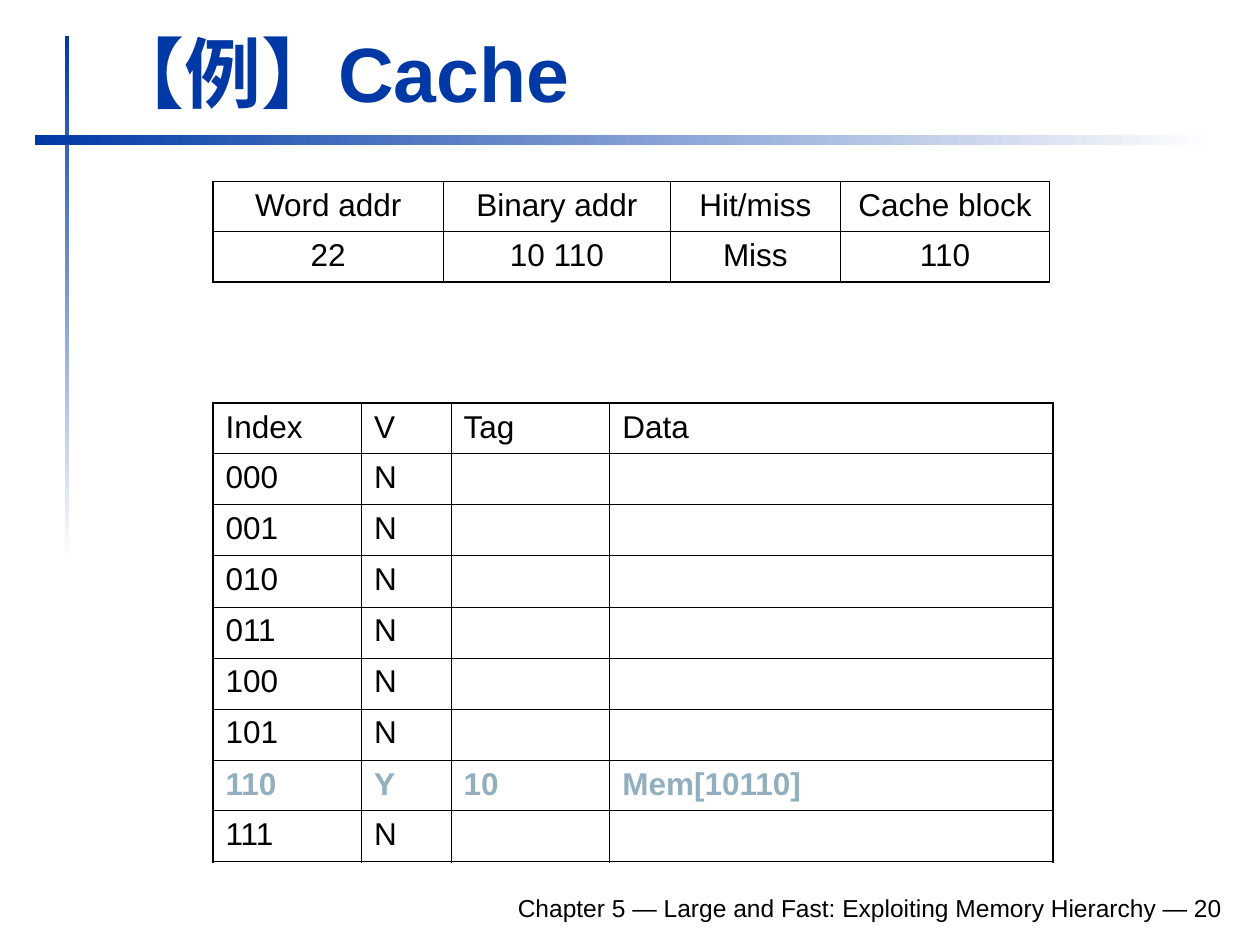
from dataclasses import dataclass
from lxml import etree
from pptx import Presentation
from pptx import util as u
from pptx.dml.color import RGBColor
from pptx.enum import shapes, text
from pptx.oxml import ns


@dataclass(frozen=True)
class Theme:
    font: str = "Arial"
    ink: str = "000000"
    blue: str = "0039A6"
    pale: str = "FFFFFF"
    mark: str = "91AFBF"
    head: int = 44
    body: int = 18
    foot: int = 14
    edge: float = 1.08
    rule: float = 0.75
    hair: float = 0.45


THEME = Theme()
COLS, ROWS = 100, 75
UNIT = u.Inches(0.1)
ALIGN = text.PP_ALIGN


def scale(*sizes):
    return [round(size * UNIT) for size in sizes]


def style(frame, size, color=THEME.ink, bold=False, align=ALIGN.LEFT):
    for para in frame.paragraphs:
        para.alignment = align
        for run in para.runs:
            run.font.name = THEME.font
            run.font.size = u.Pt(size)
            run.font.bold = bold
            run.font.color.rgb = RGBColor.from_string(color)


def add_bar(slide, box, angle):
    bar = slide.shapes.add_shape(shapes.MSO_SHAPE.RECTANGLE, *scale(*box))
    bar.shadow.inherit = False
    bar.line.fill.background()
    bar.fill.gradient()
    bar.fill.gradient_angle = angle
    for stop, color in zip(bar.fill.gradient_stops, (THEME.blue, THEME.pale)):
        stop.color.rgb = RGBColor.from_string(color)


def add_title(slide, box, words):
    title = slide.shapes.title
    title.left, title.top, title.width, title.height = scale(*box)
    frame = title.text_frame
    frame.text = words
    frame.vertical_anchor = text.MSO_ANCHOR.BOTTOM
    frame.auto_size = text.MSO_AUTO_SIZE.NONE
    style(frame, THEME.head, THEME.blue, True)


def add_footer(slide, box, words):
    frame = slide.shapes.add_textbox(*scale(*box)).text_frame
    frame.word_wrap = True
    frame.vertical_anchor = text.MSO_ANCHOR.BOTTOM
    frame.text = words
    style(frame, THEME.foot, align=ALIGN.RIGHT)


def add_edge(cell, side, width):
    line = etree.SubElement(cell._tc.get_or_add_tcPr(), ns.qn(f"a:ln{side}"),
                            w=str(u.Pt(width)))
    fill = etree.SubElement(line, ns.qn("a:solidFill"))
    etree.SubElement(fill, ns.qn("a:srgbClr"), val=THEME.ink)


def level(spot, count, rule):
    if spot in (0, count):
        return THEME.edge
    return rule if spot == 1 else THEME.hair


def add_grid(slide, spot, widths, pitch, rows, align, mark=None):
    high, wide = len(rows), len(widths)
    box = (*spot, sum(widths), pitch * high)
    grid = slide.shapes.add_table(high, wide, *scale(*box)).table
    grid.first_row = grid.horz_banding = False
    for col, width in zip(grid.columns, scale(*widths)):
        col.width = width
    for r, row in enumerate(rows):
        grid.rows[r].height = round(pitch * UNIT)
        look = (THEME.mark, True) if r == mark else (THEME.ink, False)
        for c, words in enumerate(row):
            cell = grid.cell(r, c)
            add_edge(cell, "L", level(c, wide, THEME.hair))
            add_edge(cell, "R", level(c + 1, wide, THEME.hair))
            add_edge(cell, "T", level(r, high, THEME.rule))
            add_edge(cell, "B", level(r + 1, high, THEME.rule))
            cell.fill.background()
            cell.text_frame.text = words
            style(cell.text_frame, THEME.body, *look, align)


def add_cache(slide, spot, widths, pitch):
    full = {6: ("Y", "10", "Mem[10110]")}
    rows = [("Index", "V", "Tag", "Data")]
    rows += [(f"{i:03b}", *full.get(i, ("N", "", ""))) for i in range(8)]
    add_grid(slide, spot, widths, pitch, rows, ALIGN.LEFT, mark=7)


def add_access(slide, spot, widths, pitch):
    rows = [("Word addr", "Binary addr", "Hit/miss", "Cache block"),
            ("22", "10 110", "Miss", "110")]
    add_grid(slide, spot, widths, pitch, rows, ALIGN.CENTER)


def main():
    deck = Presentation()
    deck.slide_width, deck.slide_height = scale(COLS, ROWS)
    slide = deck.slides.add_slide(deck.slide_layouts[5])
    add_bar(slide, (5.15, 2.85, 0.35, 41.7), 270)
    add_bar(slide, (2.75, 10.7, 93.7, 0.8), 0)
    add_title(slide, (7.5, 1.6, 90.3, 8.3), "【例】Cache")
    add_access(slide, (16.9, 14.4), (18.3, 18, 13.5, 16.6), 4)
    add_cache(slide, (16.9, 32), (11.8, 7.1, 12.6, 35.2), 4)
    add_footer(slide, (18.5, 69.8, 79.5, 3.9),
               "Chapter 5 — Large and Fast: Exploiting Memory Hierarchy — 20")
    deck.save("out.pptx")


if __name__ == "__main__":
    main()
